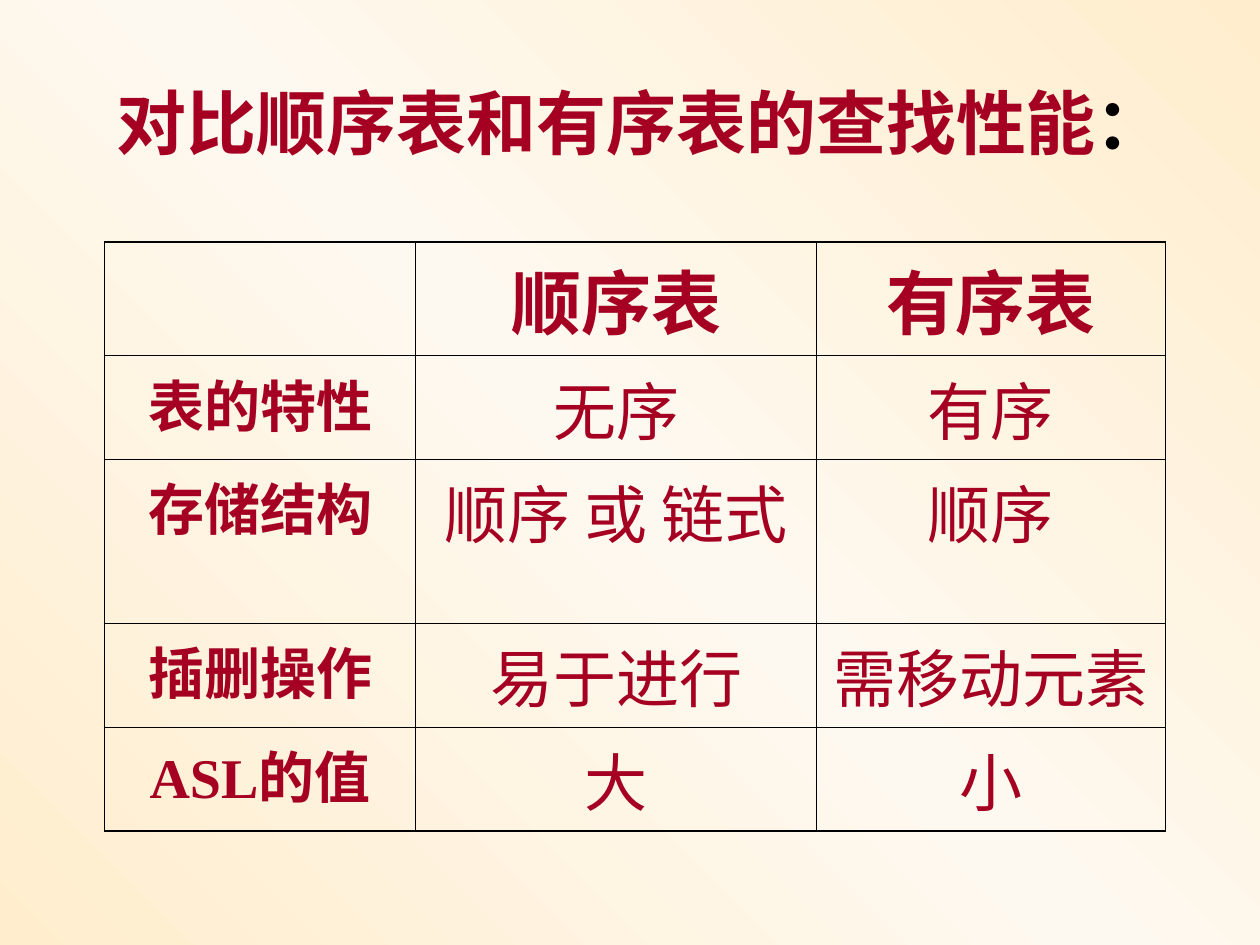
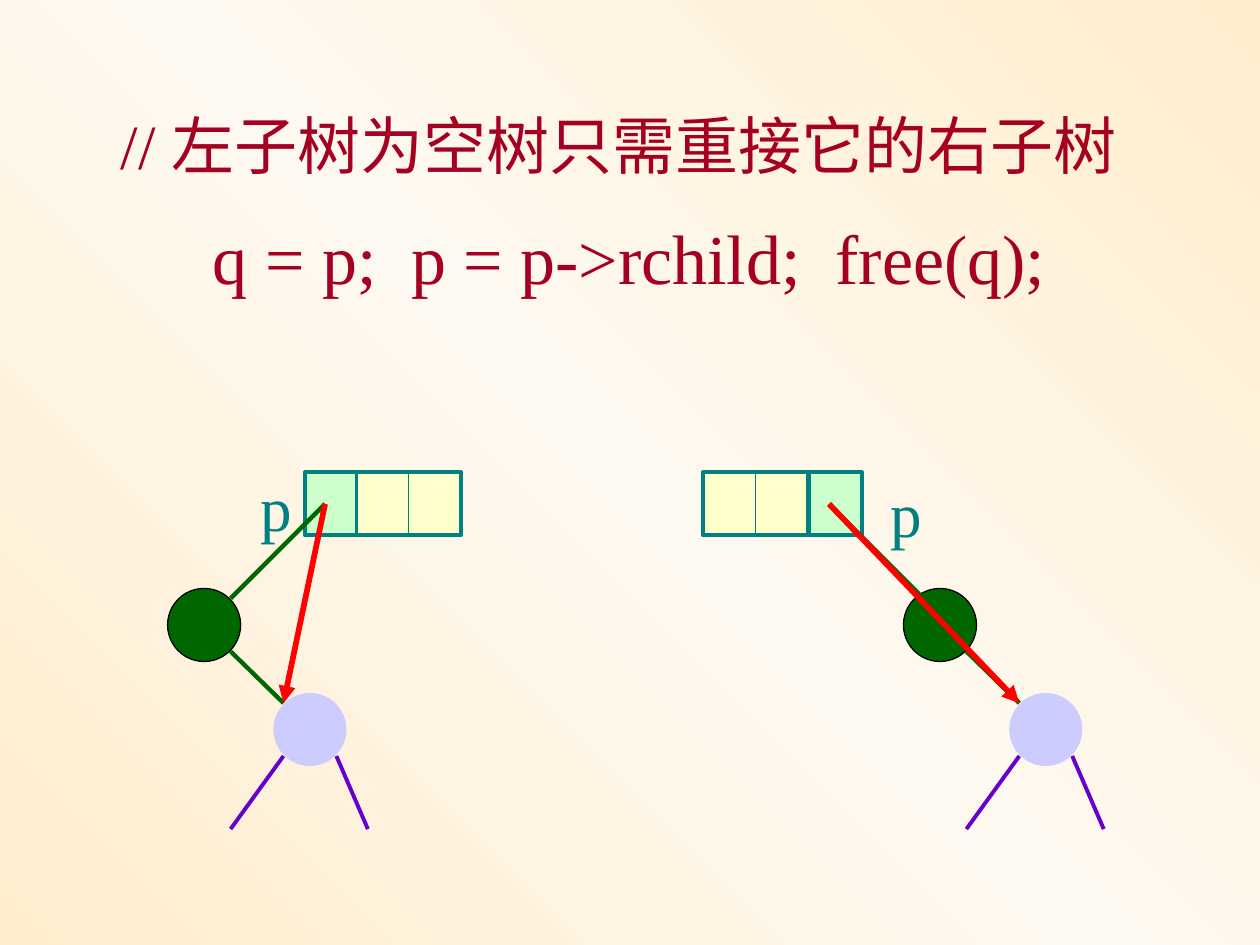
from copy import deepcopy
from dataclasses import dataclass

from lxml import etree
from pptx import Presentation
from pptx.dml.color import RGBColor
from pptx.enum.shapes import MSO_CONNECTOR as Connector, MSO_SHAPE as Shape
from pptx.enum.text import MSO_AUTO_SIZE as AutoSize, PP_ALIGN as Align
from pptx.oxml.ns import qn
from pptx.util import Inches, Pt

FONT = "Times New Roman"
CRIMSON, BLACK, TEAL = "A50021", "000000", "008080"
MINT, CREAM, LILAC = "CCFFCC", "FFFFCC", "CCCCFF"
GREEN, PURPLE, RED = "006600", "6600CC", "FF0000"
BACKDROP = [(0, "FFEDCD"), (0.5, "FEF9F0"), (1, "FFEDCD")]

COLUMN_WIDTHS = [2.47, 3.18, 2.77]
ROW_HEIGHTS = [0.79, 0.79, 1.3, 0.79, 0.78]
COMPARISON = [
    ["", "顺序表", "有序表"],
    ["表的特性", "无序", "有序"],
    ["存储结构", "顺序 或 链式", "顺序"],
    ["插删操作", "易于进行", "需移动元素"],
    ["ASL的值", "大", "小"],
]
# (font size, bold, space before) of each kind of cell
COLUMN_HEAD, ROW_HEAD, BODY = (40, True, 10), (32, True, 8), (36, False, 9)
OUTER_BORDER, INNER_BORDER = 1.08, 0.45

CELL_TOP, CELL_WIDTH, CELL_HEIGHT = 3.75, 0.42, 0.5
CIRCLE, CHILD_STEP = 0.58, 0.84
NODE_TOP, CHILD_TOP = 4.67, 5.5


@dataclass
class Label:
    text: str
    left: float
    top: float
    width: float
    height: float
    size: float
    color: str = CRIMSON
    bold: bool = False
    wrap: bool = False


@dataclass
class Tree:
    pointer_left: float
    pair_left: float
    node_left: float
    link_offset: float
    label_left: float
    label_top: float


TREES = [
    Tree(2.42, 2.83, 1.33, 0.5, 1.97, 3.67),
    Tree(6.42, 5.58, 7.17, 0.16, 6.97, 3.72),
]


def rgb(value: str) -> RGBColor:
    return RGBColor.from_string(value)


def add_span(para, text: str, size: float, color: str, bold: bool = False):
    span = para.add_run()
    span.text = text
    for name, value in {"name": FONT, "size": Pt(size), "bold": bold}.items():
        setattr(span.font, name, value)
    span.font.color.rgb = rgb(color)


def add_label(page, label: Label):
    """Add a text box and return its paragraph."""
    box = page.shapes.add_textbox(Inches(label.left), Inches(label.top),
                                  Inches(label.width), Inches(label.height))
    box.text_frame.word_wrap = label.wrap
    box.text_frame.auto_size = AutoSize.SHAPE_TO_FIT_TEXT
    para = box.text_frame.paragraphs[0]
    add_span(para, label.text, label.size, label.color, label.bold)
    return para


def add_figure(page, kind, left: float, top: float, width: float, height: float,
               fill: str, line: str = "", weight: float = 0):
    figure = page.shapes.add_shape(kind, Inches(left), Inches(top),
                                   Inches(width), Inches(height))
    figure.shadow.inherit = False
    figure.fill.solid()
    figure.fill.fore_color.rgb = rgb(fill)
    if line:
        figure.line.color.rgb = rgb(line)
        figure.line.width = Pt(weight)
    else:
        figure.line.fill.background()
    return figure


def add_line(page, start: tuple, end: tuple, color: str, weight: float,
             arrow: bool = False):
    line = page.shapes.add_connector(
        Connector.STRAIGHT, *(Inches(value) for value in (*start, *end)))
    line.line.color.rgb = rgb(color)
    line.line.width = Pt(weight)
    if arrow:
        etree.SubElement(line.line._get_or_add_ln(), qn("a:tailEnd"), type="triangle")
    etree.SubElement(line._element.spPr, qn("a:effectLst"))
    return line


def add_page(deck):
    """Add a blank page with the shared diagonal gradient."""
    page = deck.slides.add_slide(deck.slide_layouts[6])
    fill = page.background.fill
    fill.gradient()
    stop_list = next(page.element.iter(qn("a:gsLst")))
    stop_list.append(deepcopy(stop_list[0]))
    for stop, (position, color) in zip(fill.gradient_stops, BACKDROP):
        stop.position = position
        stop.color.rgb = rgb(color)
    fill.gradient_angle = 225
    return page


def set_borders(cell, weights: dict):
    properties = cell._tc.get_or_add_tcPr()
    for index, (side, weight) in enumerate(weights.items()):
        border = etree.Element(qn(f"a:ln{side}"), w=str(Pt(weight)))
        fill = etree.SubElement(border, qn("a:solidFill"))
        etree.SubElement(fill, qn("a:srgbClr"), val=BLACK)
        properties.insert(index, border)


def fill_cell(cell, text: str, style: tuple):
    cell.fill.background()
    if text:
        size, bold, space = style
        para = cell.text_frame.paragraphs[0]
        para.alignment = Align.CENTER
        para.space_before = Pt(space)
        add_span(para, text, size, CRIMSON, bold)


def add_comparison(page):
    rows, columns = len(ROW_HEIGHTS), len(COLUMN_WIDTHS)
    frame = page.shapes.add_table(rows, columns, Inches(0.83), Inches(1.92),
                                  Inches(sum(COLUMN_WIDTHS)), Inches(sum(ROW_HEIGHTS)))
    table = frame.table
    for name in ("first_row", "horz_banding"):
        setattr(table, name, False)
    for column, width in zip(table.columns, COLUMN_WIDTHS):
        column.width = Inches(width)
    for row, height in zip(table.rows, ROW_HEIGHTS):
        row.height = Inches(height)
    for r, texts in enumerate(COMPARISON):
        for c, text in enumerate(texts):
            cell = table.cell(r, c)
            fill_cell(cell, text, COLUMN_HEAD if r == 0 else ROW_HEAD if c == 0 else BODY)
            outer = {"L": c == 0, "R": c == columns - 1, "T": r == 0, "B": r == rows - 1}
            set_borders(cell, {side: OUTER_BORDER if edge else INNER_BORDER
                               for side, edge in outer.items()})


def add_tree(page, tree: Tree):
    # Node record: pointer cell and a divided pair of cells
    add_figure(page, Shape.RECTANGLE, tree.pointer_left, CELL_TOP,
               CELL_WIDTH, CELL_HEIGHT, MINT, TEAL, 2.25)
    pair = add_figure(page, Shape.RECTANGLE, tree.pair_left, CELL_TOP,
                      2 * CELL_WIDTH - 0.01, CELL_HEIGHT, CREAM, TEAL, 2.25)
    middle = tree.pair_left + CELL_WIDTH
    divider = add_line(page, (middle, CELL_TOP), (middle, CELL_TOP + CELL_HEIGHT),
                       TEAL, 0.75)
    divider.begin_connect(pair, 0)
    divider.end_connect(pair, 2)

    # Removed node and its right child
    node, child = tree.node_left, tree.node_left + CHILD_STEP
    add_figure(page, Shape.OVAL, node, NODE_TOP, CIRCLE, CIRCLE, GREEN, BLACK, 0.75)
    add_figure(page, Shape.OVAL, child, CHILD_TOP, CIRCLE, CIRCLE, LILAC)

    # Subtree legs, old links and the new link
    pointer, joint = (tree.pointer_left + 0.16, 4), (child + 0.08, 5.58)
    add_line(page, (child + 0.08, 6), (child - 0.34, 6.58), PURPLE, 2.25)
    add_line(page, (child + 0.5, 6), (child + 0.75, 6.58), PURPLE, 2.25)
    add_line(page, (node + 0.5, 5.17), joint, GREEN, 2.5)
    add_line(page, pointer, (node + tree.link_offset, 4.75), GREEN, 2.5)
    add_line(page, pointer, joint, RED, 3.25, arrow=True)
    add_label(page, Label("p", tree.label_left, tree.label_top, 0.45, 0.7, 36, TEAL))


def build_comparison_page(deck):
    page = add_page(deck)
    add_comparison(page)
    title = add_label(page, Label("对比顺序表和有序表的查找性能", 0.83, 0.58, 8.33, 0.77,
                                  40, bold=True, wrap=True))
    title.space_before = Pt(25)
    add_span(title, "：", 40, BLACK, bold=True)


def build_deletion_page(deck):
    page = add_page(deck)
    comment = add_label(page, Label("// 左子树为空树只需重接它的右子树",
                                    0.86, 0.5, 8.22, 1, 36))
    comment.line_spacing = 1.5
    add_label(page, Label("q = p;  p = p->rchild;  free(q);", 1.59, 1.65, 6.81, 0.77, 40))
    for tree in TREES:
        add_tree(page, tree)


def main():
    deck = Presentation()
    deck.slide_width, deck.slide_height = Inches(10), Inches(7.5)
    build_comparison_page(deck)
    build_deletion_page(deck)
    deck.save("out.pptx")


if __name__ == "__main__":
    main()
